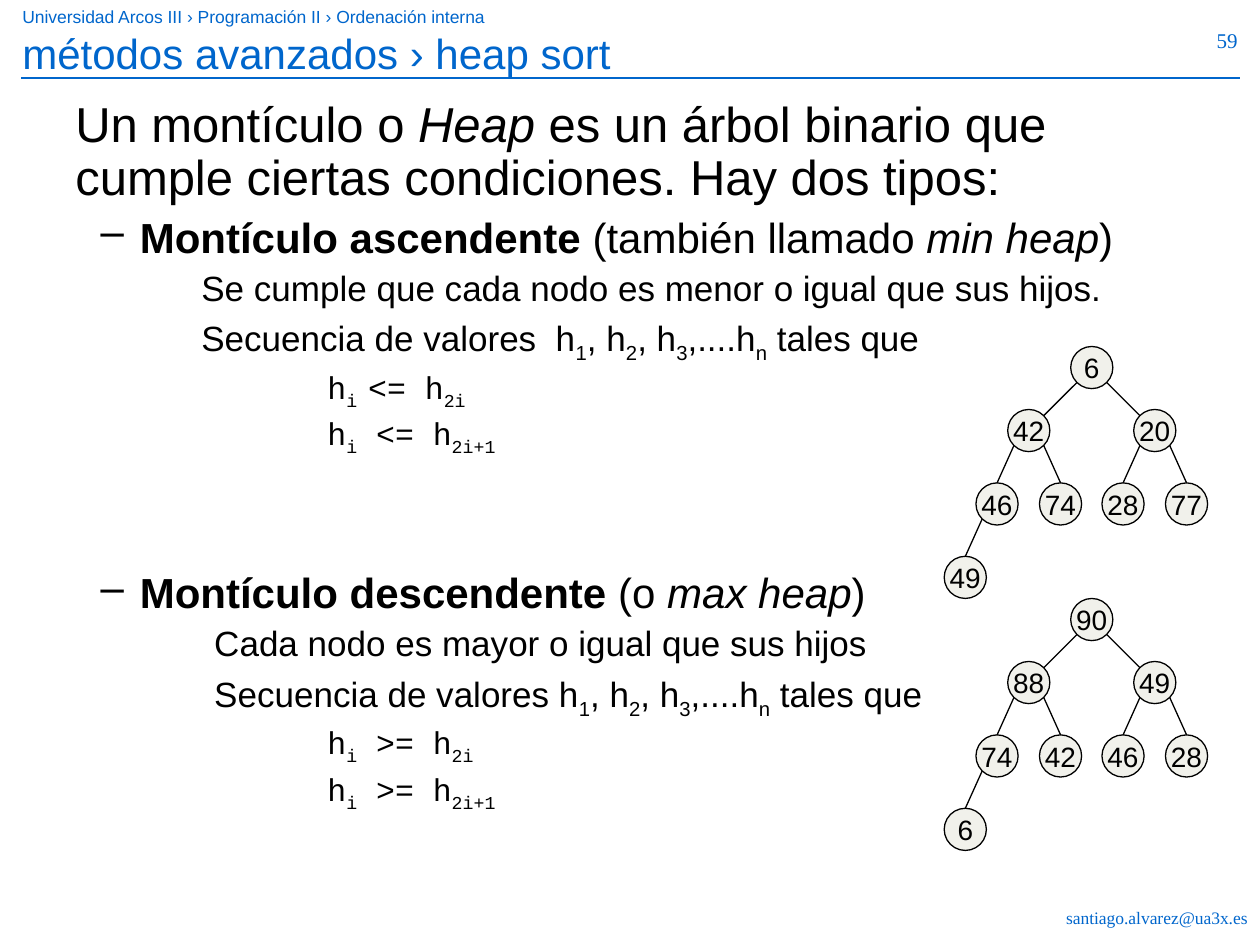
from lxml.etree import SubElement
from pptx import Presentation
from pptx.dml.color import RGBColor
from pptx.enum.shapes import MSO_CONNECTOR, MSO_SHAPE
from pptx.enum.text import MSO_ANCHOR, PP_ALIGN
from pptx.oxml.ns import qn
from pptx.util import Cm, Pt

BLUE = RGBColor(0x00, 0x66, 0xCC)
BLACK = RGBColor(0x00, 0x00, 0x00)
CREAM = RGBColor(0xF1, 0xF1, 0xEB)
SANS, SERIF, MONO = "Arial", "Times New Roman", "Courier New"

# Kind of line: font, size, space before (pt), left margin and hang (cm)
KINDS = {
    "lead": (SANS, 28, 7, 0, 0),
    "head": (SANS, 24, 6, 1.3, 0.79),
    "rule": (SANS, 20, 5, 2.54, 0),
    "note": (SANS, 20, 5, 2.8, 0),
    "code": (MONO, 18, 4.5, 5.08, 0),
}
# "|" parts the runs; a run opens with ^ for bold, / for italic, _ for subscript
LINES = [
    ("lead", "Un montículo o |/Heap| es un árbol binario que cumple ciertas "
             "condiciones. Hay dos tipos:"),
    ("head", "^Montículo ascendente| (también llamado |/min heap|)"),
    ("rule", "Se cumple que cada nodo es menor o igual que sus hijos."),
    ("rule", "Secuencia de valores  h|_1|, h|_2|, h|_3|,....h|_n| tales que"),
    ("code", "h|_i |<= h|_2i"),
    ("code", "h|_i| <= h|_2i+1"),
    ("head", "^Montículo descendente| (o |/max heap|)"),
    ("note", "Cada nodo es mayor o igual que sus hijos"),
    ("note", "Secuencia de valores h|_1|, h|_2|, h|_3|,....h|_n| tales que"),
    ("code", "h|_i| >= h|_2i"),
    ("code", "h|_i| >= h|_2i+1"),
]
SECOND, BREAK = 6, 68  # line that opens the second part, and its space before

SIZE, DIAG = 0.85, 0.3  # node width, and offset of its 45° points
STEPS = [(1.27, 1.27), (0.64, 1.48), (0.64, 1.48)]  # across, down per level
MIN_HEAP = [6, 42, 20, 46, 74, 28, 77, 49]
MAX_HEAP = [90, 88, 49, 74, 42, 46, 28, 6]


class Deck:
    def __init__(self):
        self.show = Presentation()
        self.show.slide_width, self.show.slide_height = Cm(25.4), Cm(19.05)
        self.slide = self.show.slides.add_slide(self.show.slide_layouts[6])

    def style(self, run, font, size, color):
        run.font.name, run.font.size = font, Pt(size)
        run.font.color.rgb = color

    def frame(self, x, y, w, h):
        box = self.slide.shapes.add_textbox(Cm(x), Cm(y), Cm(w), Cm(h))
        box.text_frame.word_wrap = True
        return box.text_frame

    def label(self, text, x, y, w, h, size, font=SANS, align=PP_ALIGN.LEFT):
        frame = self.frame(x, y, w, h)
        frame.text = text
        para = frame.paragraphs[0]
        para.alignment = align
        self.style(para.runs[0], font, size, BLUE)

    def body(self, lines, x, y, w, h):
        frame = self.frame(x, y, w, h)
        for i, (kind, text) in enumerate(lines):
            para = frame.add_paragraph() if i else frame.paragraphs[0]
            font, size, gap, left, hang = KINDS[kind]
            para.line_spacing = 0.9
            para.space_before = Pt(BREAK if i == SECOND else gap)
            props = para._p.get_or_add_pPr()
            props.set("marL", str(Cm(left)))
            props.set("indent", str(-Cm(hang)))
            if hang:
                self.dash(props)
            for part in text.split("|"):
                self.run(para, part, font, size)

    def dash(self, props):
        color = SubElement(props, qn("a:buClr"))
        SubElement(color, qn("a:srgbClr")).set("val", str(BLACK))
        SubElement(props, qn("a:buChar")).set("char", "–")

    def run(self, para, part, font, size):
        mark = part[0] if part[0] in "^/_" else ""
        run = para.add_run()
        run.text = part[len(mark):]
        self.style(run, font, size, BLACK)
        if mark == "^":
            run.font.bold = True
        elif mark == "/":
            run.font.italic = True
        elif mark == "_":
            run.font._element.set("baseline", "-25000")

    def line(self, x1, y1, x2, y2, color=BLACK):
        line = self.slide.shapes.add_connector(
            MSO_CONNECTOR.STRAIGHT, Cm(x1), Cm(y1), Cm(x2), Cm(y2))
        line.line.color.rgb, line.line.width = color, Pt(0.75)
        SubElement(line._element.spPr, qn("a:effectLst"))

    def node(self, value, x, y):
        """Draw a round node centred on x, y."""
        node = self.slide.shapes.add_shape(
            MSO_SHAPE.OVAL, Cm(x - SIZE / 2), Cm(y - SIZE / 2), Cm(SIZE), Cm(SIZE))
        node.shadow.inherit = False
        node.fill.solid()
        node.fill.fore_color.rgb = CREAM
        node.line.color.rgb, node.line.width = BLACK, Pt(0.75)
        frame = node.text_frame
        frame.text, frame.word_wrap = str(value), False
        frame.vertical_anchor = MSO_ANCHOR.MIDDLE
        para = frame.paragraphs[0]
        para.alignment = PP_ALIGN.CENTER
        self.style(para.runs[0], SANS, 16, BLACK)

    def heap(self, values, x, y, i=1, level=0):
        """Draw node i of the heap, then its children 2i and 2i+1."""
        self.node(values[i - 1], x, y)
        for child, side in ((2 * i, -1), (2 * i + 1, 1)):
            if child > len(values):
                continue
            across, down = STEPS[level]
            cx, cy = x + side * across, y + down
            if level:
                end = cx, cy - SIZE / 2
            else:
                end = cx - side * DIAG, cy - DIAG
            self.line(x + side * DIAG, y + DIAG, *end)
            self.heap(values, cx, cy, child, level + 1)


def main():
    deck = Deck()
    deck.line(0.43, 1.57, 25, 1.57, BLUE)
    deck.label("Universidad Arcos III › Programación II › Ordenación interna",
               0.2, 0, 14.8, 0.69, 10)
    deck.label("métodos avanzados › heap sort", 0.2, 0.43, 22, 1.57, 24)
    deck.body(LINES, 1.27, 1.9, 22.86, 15.88)
    for values, top in ((MIN_HEAP, 7.41), (MAX_HEAP, 12.49)):
        deck.heap(values, 22.01, top)
    deck.label("santiago.alvarez@ua3x.es", 17.35, 18.16, 8.05, 0.69, 10,
               SERIF, PP_ALIGN.RIGHT)
    deck.label("59", 23.5, 0.43, 1.7, 1.32, 12, SERIF, PP_ALIGN.RIGHT)
    deck.show.save("out.pptx")


if __name__ == "__main__":
    main()
